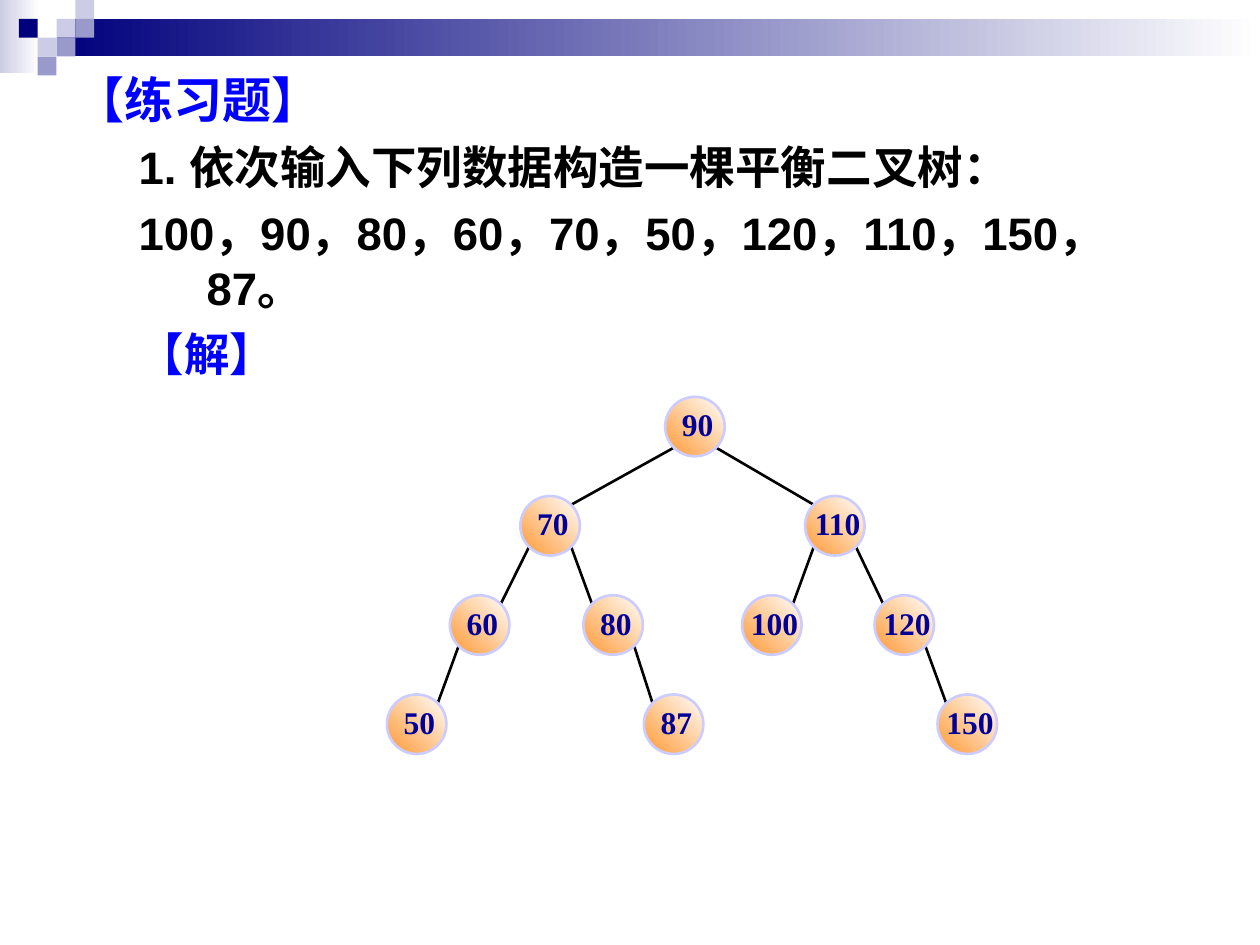
from collections import namedtuple
from dataclasses import dataclass
from math import sqrt

from lxml.etree import SubElement
from pptx import Presentation
from pptx.dml.color import RGBColor as RGB
from pptx.enum.shapes import MSO_CONNECTOR as Link, MSO_SHAPE as Shape
from pptx.enum.text import MSO_ANCHOR as Anchor, MSO_AUTO_SIZE as AutoSize, PP_ALIGN as Align
from pptx.oxml.ns import qn
from pptx.util import Cm, Pt

Box = namedtuple("Box", "left top width height")  # centimetres


@dataclass(frozen=True)
class Theme:
    navy: RGB = RGB(0x00, 0x00, 0x7D)
    violet: RGB = RGB(0x99, 0x99, 0xCC)
    lilac: RGB = RGB(0xCC, 0xCC, 0xE6)
    white: RGB = RGB(0xFF, 0xFF, 0xFF)
    black: RGB = RGB(0x00, 0x00, 0x00)
    heading: RGB = RGB(0x00, 0x00, 0xFF)
    node: RGB = RGB(0xFF, 0x99, 0x33)
    node_rim: RGB = RGB(0xCC, 0xCC, 0xFF)
    node_text: RGB = RGB(0x00, 0x00, 0x99)
    body_font: str = "Arial"
    node_font: str = "Times New Roman"
    heading_size: Pt = Pt(28)
    body_size: Pt = Pt(26)
    node_size: Pt = Pt(18)
    stroke: Pt = Pt(1.5)


THEME = Theme()

# Exercise lines: text, outline level, colour
EXERCISE = [
    ("【练习题】", 0, THEME.heading),
    ("1. 依次输入下列数据构造一棵平衡二叉树：", 1, THEME.black),
    ("100，90，80，60，70，50，120，110，150，87。", 1, THEME.black),
    ("【解】", 1, THEME.heading),
]

# Tree nodes: key -> (parent, depth, left offset in the tree box)
TREE = {
    90: (None, 0, 5.61),
    70: (90, 1, 2.69),
    110: (90, 1, 8.43),
    60: (70, 2, 1.27),
    80: (70, 2, 3.96),
    100: (110, 2, 7.16),
    120: (110, 2, 9.83),
    50: (60, 3, 0),
    87: (80, 3, 5.18),
    150: (120, 3, 11.1),
}
NODE_SIZE = 1.2


def shade(fill, start, end, angle):
    fill.gradient()
    fill.gradient_angle = angle
    for stop, color in zip(fill.gradient_stops, (start, end)):
        stop.color.rgb = color


def add_plain(shapes, kind, box):
    shape = shapes.add_shape(kind, *map(Cm, box))
    shape.shadow.inherit = False
    return shape


def add_banner(slide, box):
    """Fading bars with a mosaic of squares at the left end."""
    shapes = slide.shapes.add_group_shape().shapes
    cell = box.height / 4
    mosaic_left = 3 * cell

    # Fading bars
    bars = [
        (Box(box.left, box.top, 0.79, 1.47), THEME.lilac),
        (Box(box.left + mosaic_left, box.top + cell,
             box.width - mosaic_left, 2 * cell), THEME.navy),
    ]
    for bar_box, color in bars:
        bar = add_plain(shapes, Shape.RECTANGLE, bar_box)
        shade(bar.fill, color, THEME.white, 0)
        bar.line.fill.background()

    # Mosaic: column, row, colour
    mosaic = [
        (3, 1, THEME.lilac), (4, 0, THEME.lilac), (4, 1, THEME.violet),
        (2, 2, THEME.lilac), (1, 1, THEME.navy), (3, 2, THEME.violet),
        (2, 3, THEME.violet),
    ]
    for column, row, color in mosaic:
        tile = add_plain(shapes, Shape.RECTANGLE, Box(
            box.left + column * cell, box.top + row * cell, cell, cell))
        tile.fill.solid()
        tile.fill.fore_color.rgb = color
        tile.line.fill.background()


def add_exercise(slide, box):
    """Exercise wording in the body placeholder."""
    body = slide.placeholders[1]
    body.left, body.top, body.width, body.height = map(Cm, box)
    frame = body.text_frame
    frame.word_wrap = True
    frame.auto_size = AutoSize.NONE
    frame.vertical_anchor = Anchor.TOP

    margins = [(1.47, -1.47), (2.64, -1.37)]
    for index, (text, level, color) in enumerate(EXERCISE):
        line = frame.add_paragraph() if index else frame.paragraphs[0]
        line.text = text
        line.level = level
        line.alignment = Align.LEFT
        line.space_before = Pt(6.5 if index else 0)
        props = line._p.get_or_add_pPr()
        margin, indent = margins[level]
        props.set("marL", str(Cm(margin)))
        props.set("indent", str(Cm(indent)))
        SubElement(props, qn("a:buNone"))
        font = line.font
        font.name = THEME.body_font
        font.size = THEME.body_size if level else THEME.heading_size
        font.bold = True
        font.color.rgb = color


def add_edge(shapes, parent, child):
    """Line from a parent's lower diagonal to its child's upper diagonal."""
    reach = NODE_SIZE / 2 / sqrt(2)
    side = 1 if child[0] > parent[0] else -1
    ends = (parent[0] + side * reach, parent[1] + reach,
            child[0] - side * reach, child[1] - reach)
    edge = shapes.add_connector(Link.STRAIGHT, *map(Cm, ends))
    edge.line.color.rgb = THEME.black
    edge.line.width = THEME.stroke
    SubElement(edge._element.spPr, qn("a:effectLst"))


def add_node(shapes, key, center):
    x, y = center
    node = add_plain(shapes, Shape.OVAL, Box(
        x - NODE_SIZE / 2, y - NODE_SIZE / 2, NODE_SIZE, NODE_SIZE))
    shade(node.fill, THEME.node, THEME.white, 45)
    node.line.color.rgb = THEME.node_rim
    node.line.width = THEME.stroke

    frame = node.text_frame
    frame.word_wrap = False
    frame.vertical_anchor = Anchor.MIDDLE
    frame.margin_left, frame.margin_top = Cm(0.36), Cm(0.03)
    frame.margin_right, frame.margin_bottom = Cm(0.25), Cm(0.13)
    label = frame.paragraphs[0]
    label.text = str(key)
    label.alignment = Align.CENTER
    label.font.name = THEME.node_font
    label.font.size = THEME.node_size
    label.font.bold = True
    label.font.color.rgb = THEME.node_text


def add_tree(slide, box):
    """Balanced binary tree with evenly spaced levels."""
    shapes = slide.shapes.add_group_shape().shapes
    depth_max = max(depth for _, depth, _ in TREE.values())
    level_step = (box.height - NODE_SIZE) / depth_max
    centers = {
        key: (box.left + offset + NODE_SIZE / 2,
              box.top + depth * level_step + NODE_SIZE / 2)
        for key, (_, depth, offset) in TREE.items()
    }
    for key, (parent, _, _) in TREE.items():
        if parent is not None:
            add_edge(shapes, centers[parent], centers[key])
    for key, center in centers.items():
        add_node(shapes, key, center)


def main():
    deck = Presentation()
    deck.slide_width, deck.slide_height = Cm(25.4), Cm(19.05)
    slide = deck.slides.add_slide(deck.slide_layouts[1])
    title = slide.shapes.title._element
    title.getparent().remove(title)

    add_banner(slide, Box(0, 0, 25.4, 1.52))
    add_exercise(slide, Box(1.27, 1.27, 22.86, 17.78))
    add_tree(slide, Box(7.8, 8, 12.3, 7.2))
    deck.save("out.pptx")


if __name__ == "__main__":
    main()
